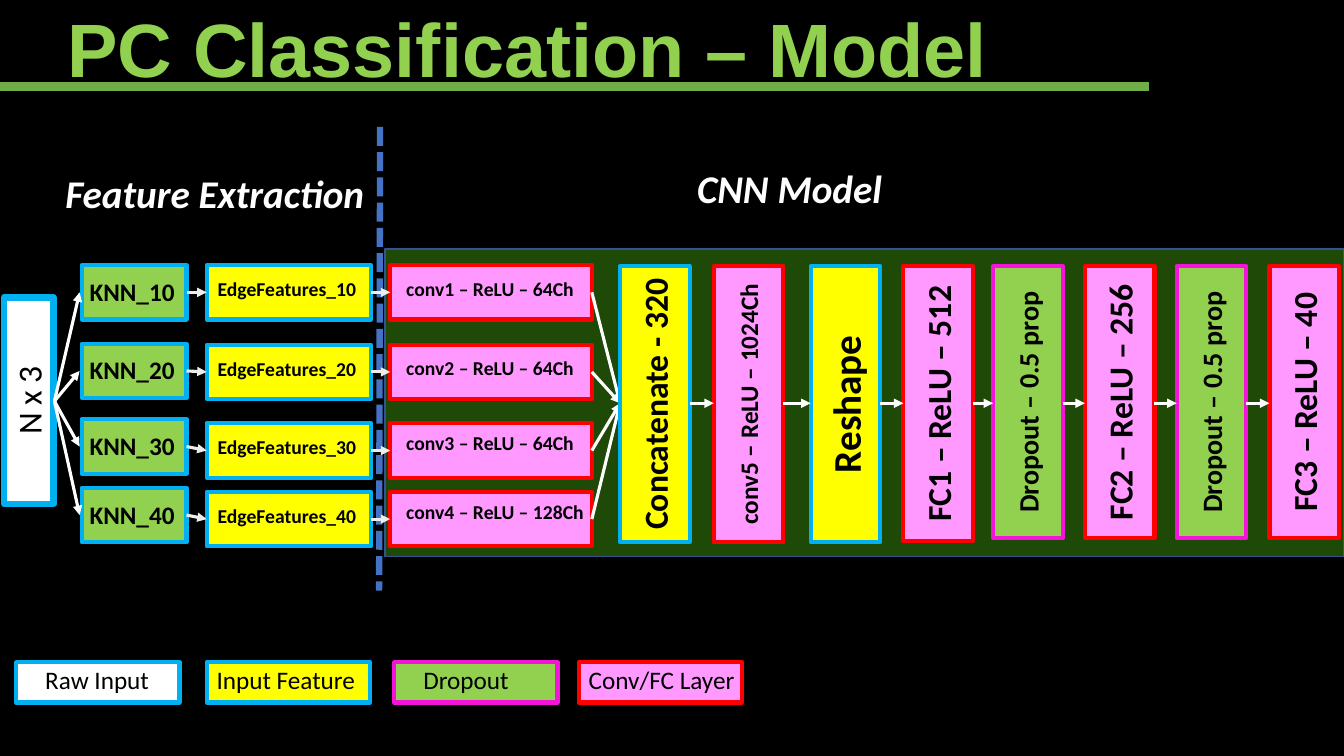
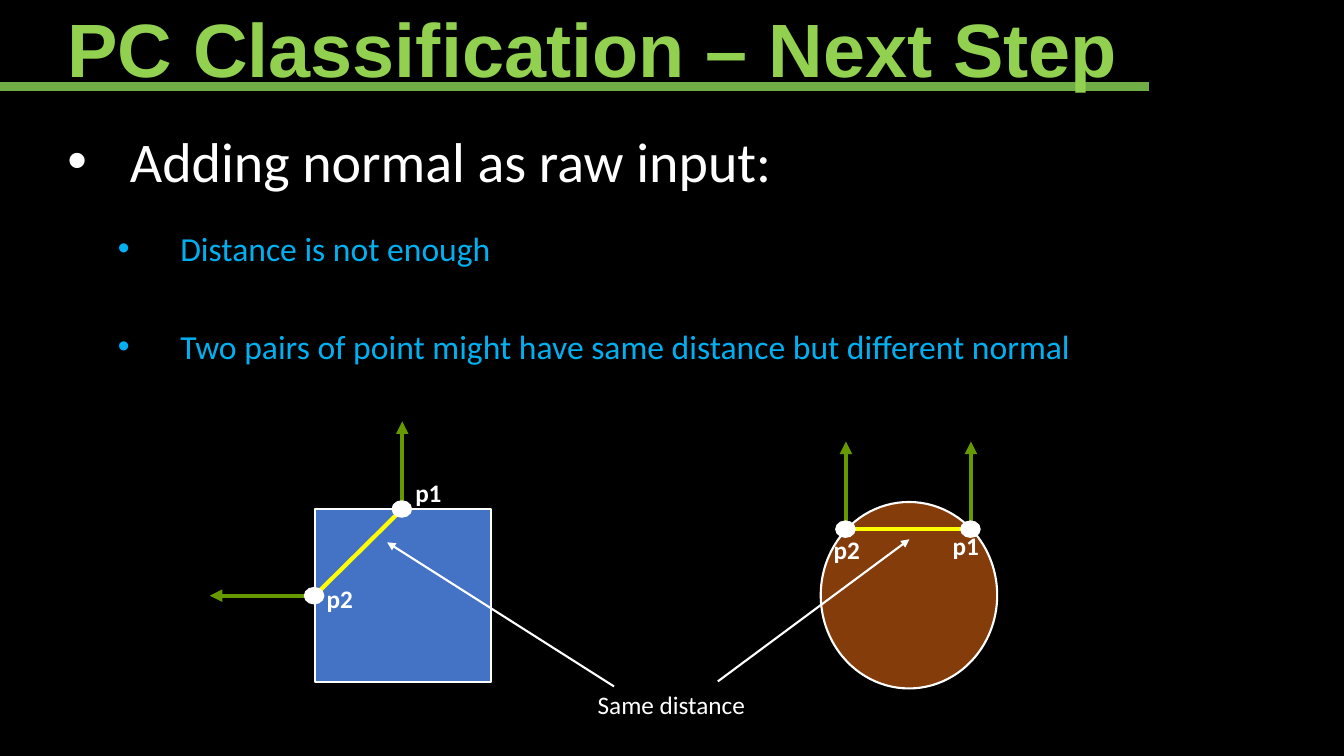
from itertools import pairwise

from lxml.etree import SubElement
from pptx import Presentation
from pptx.dml.color import RGBColor
from pptx.enum.dml import MSO_LINE
from pptx.enum.shapes import MSO_CONNECTOR, MSO_SHAPE
from pptx.enum.text import PP_ALIGN
from pptx.oxml.ns import qn
from pptx.util import Inches, Pt

BLACK, WHITE, PALE = "000000", "FFFFFF", "EDEDED"
GREEN, BLUE, CYAN, YELLOW = "92D050", "4472C4", "00B0F0", "FFFF00"
RULE_GREEN, NORMAL_GREEN = "70AD47", "669900"

RAW = (WHITE, CYAN)
NEIGHBOURS = (GREEN, CYAN)
FEATURE = (YELLOW, CYAN)
DROPOUT = (GREEN, "F414D9")
LAYER = ("FF99FF", "FF0000")

BRANCHES = [
    (10, 2.63, 2.63, 0.07, "conv1 – ReLU – 64Ch"),
    (20, 3.41, 3.42, 0.06, "conv2 – ReLU – 64Ch"),
    (30, 4.16, 4.2, 0.03, "conv3 – ReLU – 64Ch"),
    (40, 4.84, 4.88, 0.03, "conv4 – ReLU – 128Ch"),
]
TOWERS = [
    ("Concatenate - 320", FEATURE, 6.15, 2.74, 24),
    ("conv5 – ReLU – 1024Ch", LAYER, 7.08, 2.74, 18),
    ("Reshape", FEATURE, 8.04, 2.74, 28),
    ("FC1 – ReLU – 512", LAYER, 8.96, 2.73, 24),
    ("Dropout – 0.5 prop", DROPOUT, 9.85, 2.7, 20),
    ("FC2 – ReLU – 256", LAYER, 10.76, 2.7, 24),
    ("Dropout – 0.5 prop", DROPOUT, 11.67, 2.7, 20),
    ("FC3 – ReLU – 40", LAYER, 12.59, 2.7, 24),
]
LEGEND = [
    ("Raw Input", RAW, 0.16, 0.35),
    ("Input Feature", FEATURE, 2.05, 2.05),
    ("Dropout", DROPOUT, 3.91, 4.1),
    ("Conv/FC Layer", LAYER, 5.74, 5.74),
]
BULLETS = [
    ("Adding normal as raw input:", 0, 40, WHITE, 0),
    ("Distance is not enough", 1, 24, CYAN, 24),
    ("Two pairs of point might have same distance but different normal",
     1, 24, CYAN, 41),
]
TOWER_WIDTH = 0.69
FLOW_Y = 4


def colour(value):
    return RGBColor.from_string(value)


def style_span(span, size, hue, font="Calibri", bold=False, italic=False):
    span.font.size = Pt(size)
    span.font.name = font
    span.font.bold = bold
    span.font.italic = italic
    span.font.color.rgb = colour(hue)


def add_text(page, text, left, top, width, size=18, hue=BLACK,
             align=PP_ALIGN.LEFT, turn=0, **look):
    box = page.shapes.add_textbox(Inches(left), Inches(top), Inches(width),
                                  Inches(line_height(size)))
    box.rotation = turn
    box.text_frame.word_wrap = True
    para = box.text_frame.paragraphs[0]
    para.alignment = align
    span = para.add_run()
    span.text = text
    style_span(span, size, hue, **look)


def line_height(size):
    return round(size / 59 + 0.1, 2)


def add_block(page, left, top, width, height, fill, edge, weight=3,
              kind=MSO_SHAPE.RECTANGLE):
    block = page.shapes.add_shape(kind, Inches(left), Inches(top),
                                  Inches(width), Inches(height))
    block.shadow.inherit = False
    block.fill.solid()
    block.fill.fore_color.rgb = colour(fill)
    block.line.color.rgb = colour(edge)
    block.line.width = Pt(weight)
    return block


def add_line(page, start, end, hue, weight, arrow=False, dash=None):
    wire = page.shapes.add_connector(
        MSO_CONNECTOR.STRAIGHT, *(Inches(value) for value in (*start, *end)))
    wire.line.color.rgb = colour(hue)
    wire.line.width = Pt(weight)
    if dash:
        wire.line.dash_style = dash
    properties = wire._element.spPr
    if arrow:
        SubElement(properties.find(qn("a:ln")), qn("a:tailEnd"), type="triangle")
    SubElement(properties, qn("a:effectLst"))


def add_arrow(page, start, end, hue=WHITE, weight=2.25):
    add_line(page, start, end, hue, weight, arrow=True)


def add_tower(page, text, style, left, top, width, height, size,
              weight=3, bold=True):
    add_block(page, left, top, width, height, *style, weight)
    add_text(page, text, left + (width - height) / 2,
             top + (height - line_height(size)) / 2, height, size,
             align=PP_ALIGN.CENTER, turn=270, bold=bold)


def add_page(deck, title):
    page = deck.slides.add_slide(deck.slide_layouts[6])
    page.background.fill.solid()
    page.background.fill.fore_color.rgb = colour(BLACK)
    add_line(page, (0, 0.86), (11.4, 0.86), RULE_GREEN, 6)
    add_text(page, title, 0.57, -0.03, 12.76, 54, GREEN, font="Arial", bold=True)
    return page


def add_branch(page, number, near_top, top, label_drop, layer):
    near_y, y = near_top + 0.27, top + 0.27
    add_block(page, 0.81, near_top, 1.04, 0.54, *NEIGHBOURS)
    add_text(page, f"KNN_{number}", 0.79, near_top + 0.06, 1.06, bold=True)
    add_block(page, 2.05, top, 1.63, 0.54, *FEATURE)
    add_text(page, f"EdgeFeatures_{number}", 2.06, top + 0.07, 1.65, 14, bold=True)
    add_block(page, 3.87, top, 2, 0.54, *LAYER)
    add_text(page, layer, 3.93, top + label_drop, 2.05, 14, bold=True)
    add_arrow(page, (0.54, 3.98), (0.79, near_y))
    add_arrow(page, (1.85, near_y), (2.05, y), PALE)
    add_arrow(page, (3.68, y), (3.87, y), PALE)
    add_arrow(page, (5.87, y), (6.15, FLOW_Y))


def add_model(deck):
    page = add_page(deck, "PC Classification – Model")
    panel = add_block(page, 3.82, 2.47, 9.51, 3.05, "65F216", "325491", 1)
    tint = panel._element.spPr.find(qn("a:solidFill"))[0]
    SubElement(tint, qn("a:alpha"), val="30000")
    add_line(page, (3.77, 1.26), (3.76, 5.86), BLUE, 4.5, dash=MSO_LINE.SQUARE_DOT)
    for heading, left, top in (("Feature Extraction", 0.44, 1.63),
                               ("CNN Model", 6.14, 1.58)):
        add_text(page, heading, left, top, 3.38, 28, WHITE, PP_ALIGN.CENTER,
                 bold=True, italic=True)
    add_tower(page, "N x 3", RAW, 0.04, 2.95, 0.49, 2.05, 24, 4.5, bold=False)
    for branch in BRANCHES:
        add_branch(page, *branch)
    for text, style, left, height, size in TOWERS:
        add_tower(page, text, style, left, 2.64, TOWER_WIDTH, height, size)
    for before, after in pairwise(tower[2] for tower in TOWERS):
        add_arrow(page, (before + TOWER_WIDTH, FLOW_Y), (after, FLOW_Y))
    for text, style, left, text_left in LEGEND:
        add_block(page, left, 6.57, 1.62, 0.4, *style)
        add_text(page, text, text_left, 6.54, 1.78)


def add_bullets(page):
    box = page.shapes.add_textbox(Inches(0.57), Inches(1.21),
                                  Inches(10.59), Inches(2.59))
    frame = box.text_frame
    frame.word_wrap = True
    for index, (text, level, size, hue, gap) in enumerate(BULLETS):
        para = frame.add_paragraph() if index else frame.paragraphs[0]
        para.level = level
        para.space_before = Pt(gap)
        properties = para._p.get_or_add_pPr()
        properties.set("marL", str(Inches(0.62 + 0.5 * level)))
        properties.set("indent", str(Inches(-0.62)))
        SubElement(properties, qn("a:buFont"), typeface="Arial")
        SubElement(properties, qn("a:buChar"), char="•")
        span = para.add_run()
        span.text = text
        style_span(span, size, hue)


def add_pair(page, first, second, first_normal, second_normal, labels):
    add_line(page, first, second, YELLOW, 3)
    for point, normal in ((first, first_normal), (second, second_normal)):
        add_arrow(page, point, normal, NORMAL_GREEN, 3)
    for (x, y), name, (left, top) in zip((first, second), ("p1", "p2"), labels):
        add_block(page, x - 0.1, y - 0.08, 0.19, 0.16, WHITE, WHITE, 1,
                  MSO_SHAPE.OVAL)
        add_text(page, name, left, top, 0.51, hue=WHITE, bold=True)


def add_next_step(deck):
    page = add_page(deck, "PC Classification – Next Step")
    add_bullets(page)
    add_block(page, 3.12, 5.05, 1.75, 1.72, BLUE, WHITE, 1.5)
    add_block(page, 8.14, 4.98, 1.75, 1.85, "843C0B", WHITE, 1.5, MSO_SHAPE.OVAL)
    add_pair(page, (3.99, 5.05), (3.12, 5.91), (3.99, 4.18), (2.08, 5.91),
             ((4.02, 4.69), (3.14, 5.74)))
    add_pair(page, (9.63, 5.25), (8.39, 5.25), (9.63, 4.38), (8.39, 4.38),
             ((9.35, 5.21), (8.17, 5.25)))
    add_arrow(page, (6.09, 6.81), (3.84, 5.38), weight=1.5)
    add_arrow(page, (7.12, 6.76), (9.02, 5.35), weight=1.5)
    add_text(page, "Same distance", 5.83, 6.79, 1.96, hue=WHITE)


def main():
    deck = Presentation()
    deck.slide_width = Inches(13.33)
    deck.slide_height = Inches(7.5)
    add_model(deck)
    add_next_step(deck)
    deck.save("out.pptx")


main()
